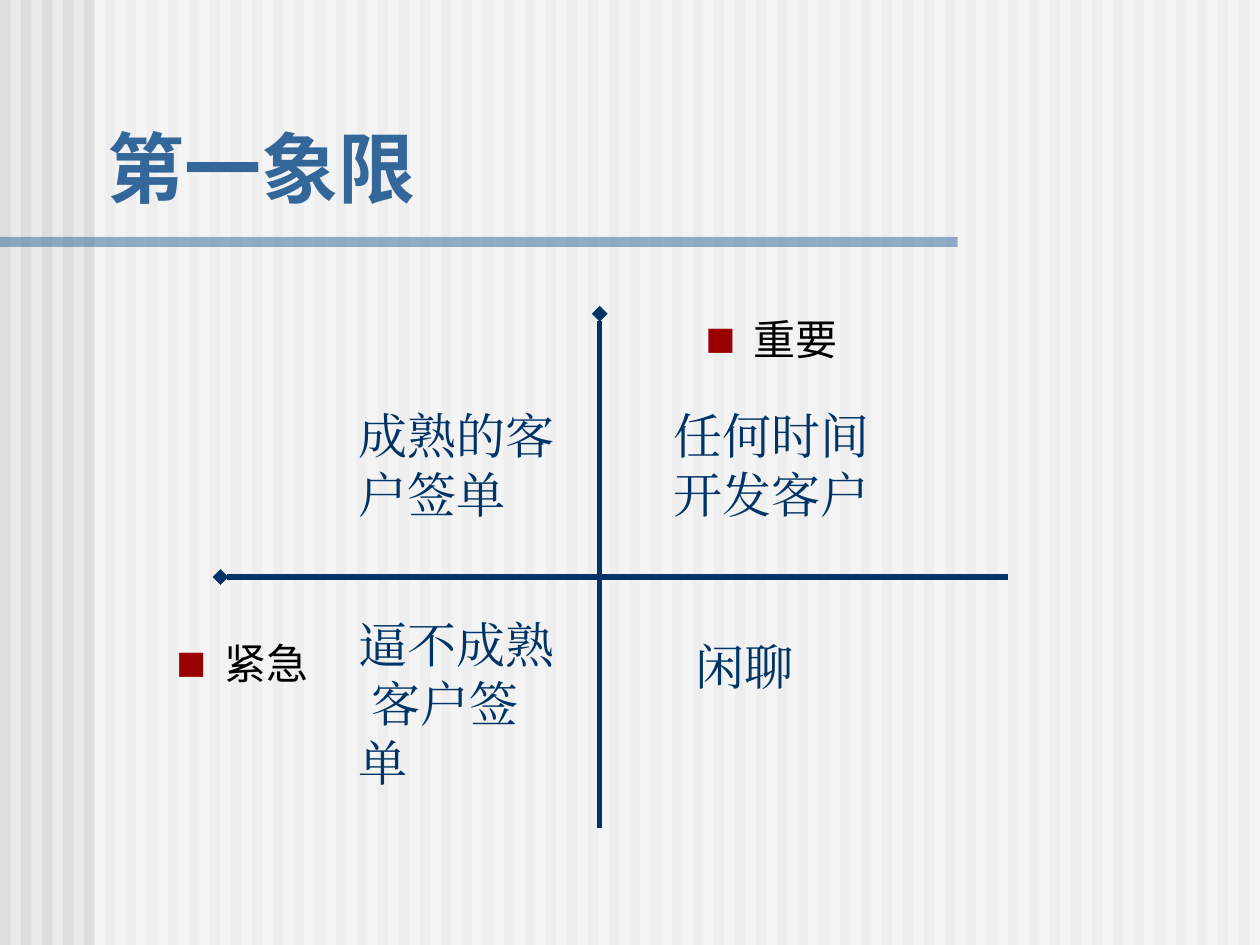
from lxml import etree
from pptx import Presentation
from pptx.dml.color import RGBColor
from pptx.enum.shapes import MSO_CONNECTOR, MSO_SHAPE
from pptx.enum.text import MSO_ANCHOR, MSO_AUTO_SIZE, PP_ALIGN
from pptx.oxml.ns import qn
from pptx.util import Inches, Pt

RECTANGLE = MSO_SHAPE.RECTANGLE
STRAIGHT = MSO_CONNECTOR.STRAIGHT
TOP, BOTTOM = MSO_ANCHOR.TOP, MSO_ANCHOR.BOTTOM
LEFT = PP_ALIGN.LEFT
NO_AUTO_SIZE = MSO_AUTO_SIZE.NONE

PAGE_GREY = RGBColor(0xEA, 0xEA, 0xEA)
STRIPE_GREY = RGBColor(0xDD, 0xDD, 0xDD)
WHITE = RGBColor(0xFF, 0xFF, 0xFF)
BLACK = RGBColor(0, 0, 0)
BLUE = RGBColor(0x33, 0x66, 0x99)
NAVY = RGBColor(0x00, 0x33, 0x66)
BULLET_RED = RGBColor(0x9A, 0x00, 0x00)

TITLE_FONT = "Noto Sans CJK JP"
LABEL_FONT = "DejaVu Sans"
QUADRANT_FONT = "Times New Roman"

PAGE_WIDTH, PAGE_HEIGHT = 10, 7.5
STRIPE_COUNT = 60


def add_element(parent, tag, **attributes):
    return etree.SubElement(parent, qn(tag), attributes)


def place(shape, box):
    shape.left, shape.top, shape.width, shape.height = map(Inches, box)


def format_para(para, font_name, size, color, bold=False):
    para.alignment = LEFT
    para.line_spacing = 1.0
    para.space_before = Pt(0)
    for span in para.runs:
        span.font.name = font_name
        span.font.size = Pt(size)
        span.font.color.rgb = color
        span.font.bold = bold
        add_element(span.font._element, "a:ea", typeface=font_name)


def add_block(page, box, color, alpha=None):
    block = page.shapes.add_shape(RECTANGLE, *map(Inches, box))
    block.shadow.inherit = False
    block.fill.solid()
    block.fill.fore_color.rgb = color
    block.line.fill.background()
    if alpha is not None:
        color_element = block.fill._xPr.find(qn("a:solidFill"))[0]
        add_element(color_element, "a:alpha", val=str(alpha * 1000))


def add_backdrop(page, box):
    left, top, width, height = box
    pitch = width / STRIPE_COUNT
    # Vertical stripes, veiled right of the margin
    for index in range(STRIPE_COUNT):
        add_block(page, (left + index * pitch, top, pitch / 2, height), STRIPE_GREY)
    add_block(page, (left + 0.75, top, width - 0.75, height), WHITE, alpha=50)
    # Rule under the title
    add_block(page, (left, top + 1.88, 7.6, 0.08), BLUE, alpha=50)


def fill_title(title, box, text):
    place(title, box)
    frame = title.text_frame
    frame.text = text
    frame.auto_size = NO_AUTO_SIZE
    frame.vertical_anchor = BOTTOM
    format_para(frame.paragraphs[0], TITLE_FONT, 44, BLUE, bold=True)


def fill_axis_label(label, box, text):
    place(label, box)
    frame = label.text_frame
    frame.text = text
    frame.auto_size = NO_AUTO_SIZE
    frame.vertical_anchor = TOP
    para = frame.paragraphs[0]
    format_para(para, LABEL_FONT, 24, BLACK)
    # Square red bullet with a hanging indent
    properties = para._p.get_or_add_pPr()
    properties.set("marL", str(Inches(0.38)))
    properties.set("indent", str(Inches(-0.38)))
    bullet_color = add_element(properties, "a:buClr")
    add_element(bullet_color, "a:srgbClr", val=str(BULLET_RED))
    add_element(properties, "a:buSzPct", val="75000")
    add_element(properties, "a:buFont", typeface=LABEL_FONT)
    add_element(properties, "a:buChar", char="■")


def add_axis(page, start, end):
    axis = page.shapes.add_connector(STRAIGHT, *map(Inches, start + end))
    axis.line.color.rgb = NAVY
    axis.line.width = Pt(3)
    add_element(axis.line._get_or_add_ln(), "a:headEnd", type="diamond")
    add_element(axis._element.spPr, "a:effectLst")


def add_axes(page, box):
    left, top, width, height = box
    horizontal_y, vertical_x = 4.58, 4.76
    add_axis(page, (left, horizontal_y), (left + width, horizontal_y))
    add_axis(page, (vertical_x, top), (vertical_x, top + height))


def add_quadrant(page, box, lines):
    frame = page.shapes.add_textbox(*map(Inches, box)).text_frame
    frame.word_wrap = True
    frame.text = "\n".join(lines)
    for index, para in enumerate(frame.paragraphs):
        format_para(para, QUADRANT_FONT, 28, NAVY)
        if index:
            para._p.get_or_add_pPr().set("indent", str(Inches(0.1)))


def main():
    deck = Presentation()
    deck.slide_width, deck.slide_height = Inches(PAGE_WIDTH), Inches(PAGE_HEIGHT)
    page = deck.slides.add_slide(deck.slide_layouts.get_by_name("Two Content"))
    page.background.fill.solid()
    page.background.fill.fore_color.rgb = PAGE_GREY
    title, important, urgent = list(page.placeholders)[:3]

    # Backdrop, moved behind the placeholders
    add_backdrop(page, (0, 0, PAGE_WIDTH, PAGE_HEIGHT))
    tree = page.shapes._spTree
    for placeholder in (title, important, urgent):
        tree.append(placeholder._element)

    # Title and axis labels
    fill_title(title, (0.75, 0.91, 8.5, 0.83), "第一象限")
    fill_axis_label(important, (5.5, 2.44, 1.74, 0.59), "重要")
    fill_axis_label(urgent, (1.3, 5.01, 1.36, 0.64), "紧急")

    # Axes and quadrants
    add_axes(page, (1.75, 2.49, 6.25, 4.08))
    quadrants = [
        ((2.75, 3.17, 1.83, 1.04), ["成熟的客户签单"]),
        ((5.25, 3.17, 2, 1.04), ["任何时间开发客户"]),
        ((5.42, 5, 1.67, 0.57), ["闲聊"]),
        ((2.75, 4.83, 1.83, 1.5), ["逼不成熟", "客户签单"]),
    ]
    for box, lines in quadrants:
        add_quadrant(page, box, lines)

    deck.save("out.pptx")


if __name__ == "__main__":
    main()
